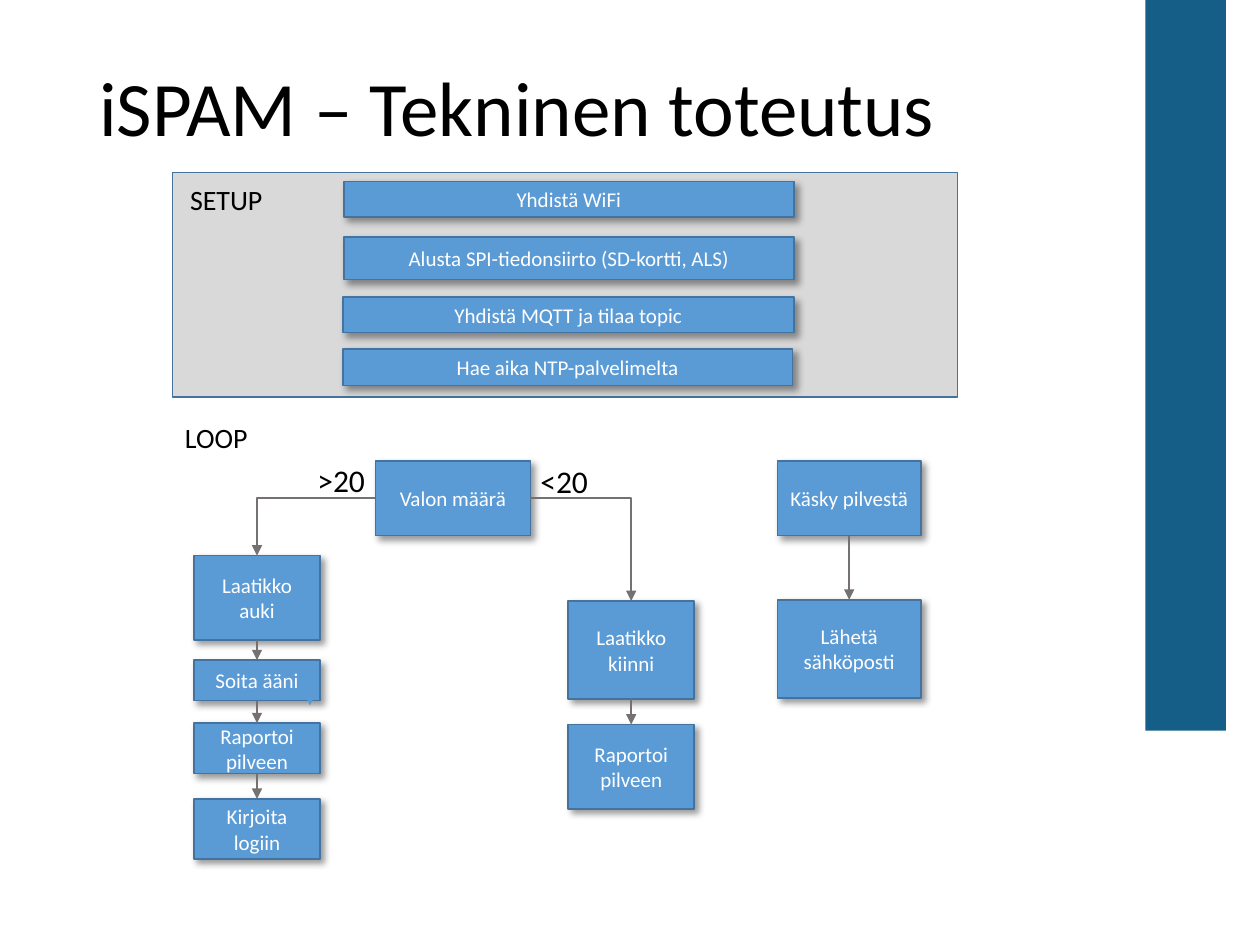
from lxml import etree
from pptx import Presentation
from pptx.dml.color import RGBColor
from pptx.enum.shapes import MSO_CONNECTOR, MSO_SHAPE
from pptx.enum.text import MSO_ANCHOR, PP_ALIGN
from pptx.oxml.ns import qn
from pptx.util import Inches, Pt

RECTANGLE, PROCESS = MSO_SHAPE.RECTANGLE, MSO_SHAPE.FLOWCHART_PROCESS
STRAIGHT, ELBOW = MSO_CONNECTOR.STRAIGHT, MSO_CONNECTOR.ELBOW
MIDDLE, CENTER = MSO_ANCHOR.MIDDLE, PP_ALIGN.CENTER
TOP, LEFT, BOTTOM, RIGHT = range(4)

FONT = "Calibri"
BLUE, OUTLINE, ARROW = "5B9BD5", "43739E", "767171"

SETUP_STEPS = [
    ("Yhdistä WiFi", 2.73, 1.44, 3.57, 0.28, RECTANGLE),
    ("Alusta SPI-tiedonsiirto (SD-kortti, ALS)", 2.73, 1.88, 3.57, 0.34, RECTANGLE),
    ("Yhdistä MQTT ja tilaa topic", 2.72, 2.36, 3.58, 0.28, PROCESS),
    ("Hae aika NTP-palvelimelta", 2.72, 2.77, 3.57, 0.29, RECTANGLE),
]
LIGHT = ("Valon määrä", 2.98, 3.66, 1.23, 0.59)
COLUMNS = {
    "open": (1.54, 1, [("Laatikko auki", 4.41, 0.67), ("Soita ääni", 5.24, 0.32),
                       ("Raportoi pilveen", 5.74, 0.4), ("Kirjoita logiin", 6.34, 0.48)]),
    "closed": (4.51, 1, [("Laatikko kiinni", 4.77, 0.78), ("Raportoi pilveen", 5.75, 0.67)]),
    "command": (6.17, 1.14, [("Käsky pilvestä", 3.66, 0.59), ("Lähetä sähköposti", 4.76, 0.78)]),
}
BRANCHES = [(LEFT, "open"), (RIGHT, "closed")]
LABELS = [
    ("<20", 4.19, 3.62, 0.59, 0.4, 18),
    (">20", 2.42, 3.61, 0.71, 0.4, 18),
    ("SETUP", 1.41, 1.4, 1.05, 0.37, 16),
    ("LOOP", 1.37, 3.29, 3, 0.37, 16),
]


def color(value):
    return RGBColor.from_string(value)


def write(shape, text, size, font_color):
    shape.text_frame.word_wrap = True
    paragraph = shape.text_frame.paragraphs[0]
    paragraph.text = text
    paragraph.font.name = FONT
    paragraph.font.size = Pt(size)
    paragraph.font.color.rgb = color(font_color)
    return paragraph


def add_box(left, top, width, height, fill, line=None, kind=RECTANGLE):
    shape = slide.shapes.add_shape(kind, Inches(left), Inches(top), Inches(width), Inches(height))
    shape.fill.solid()
    shape.fill.fore_color.rgb = color(fill)
    if line:
        shape.line.color.rgb = color(line)
        shape.line.width = Pt(1)
    else:
        shape.line.fill.background()
    shape.shadow.inherit = False
    return shape


def add_step(text, left, top, width, height, kind=PROCESS):
    shape = add_box(left, top, width, height, BLUE, OUTLINE, kind)
    effects = shape._element.spPr.find(qn("a:effectLst"))
    shadow = etree.SubElement(effects, qn("a:outerShdw"), blurRad=str(Pt(4)), dist=str(Pt(3)),
                              dir=str(45 * 60000), algn="tl", rotWithShape="0")
    black = etree.SubElement(shadow, qn("a:srgbClr"), val="000000")
    etree.SubElement(black, qn("a:alpha"), val="40000")
    shape.text_frame.vertical_anchor = MIDDLE
    write(shape, text, 12, "FFFFFF").alignment = CENTER
    return shape


def add_label(text, left, top, width, height, size):
    box = slide.shapes.add_textbox(Inches(left), Inches(top), Inches(width), Inches(height))
    return box, write(box, text, size, "000000")


def add_arrow(kind, start=(0, 0), end=(0, 0), line=ARROW, width=1):
    connector = slide.shapes.add_connector(kind, *map(Inches, start + end))
    connector.line.color.rgb = color(line)
    connector.line.width = Pt(width)
    etree.SubElement(connector.line._get_or_add_ln(), qn("a:tailEnd"), type="triangle")
    etree.SubElement(connector._element.spPr, qn("a:effectLst"))
    return connector


def join(first, first_side, second, kind=STRAIGHT):
    connector = add_arrow(kind)
    connector.begin_connect(first, first_side)
    connector.end_connect(second, TOP)
    return connector


presentation = Presentation()
presentation.slide_width, presentation.slide_height = Inches(10), Inches(7.5)
slide = presentation.slides.add_slide(presentation.slide_layouts[6])

add_box(9.09, 0, 0.64, 5.8, "145E87")
title, title_paragraph = add_label("iSPAM – Tekninen toteutus", 0.69, 0.4, 8.27, 0.97, 44)
title.text_frame.vertical_anchor = MIDDLE
title_paragraph.line_spacing = 0.9

add_box(1.37, 1.37, 6.23, 1.78, "D9D9D9", OUTLINE)
for step in SETUP_STEPS:
    add_step(*step)

light = add_step(*LIGHT)
columns = {
    name: [add_step(text, left, top, width, height) for text, top, height in steps]
    for name, (left, width, steps) in COLUMNS.items()
}
for label in LABELS:
    add_label(*label)

add_arrow(STRAIGHT, (2.46, 5.38), (2.46, 5.6), BLUE, 0.5)
for side, name in BRANCHES:
    branch = join(light, side, columns[name][0], ELBOW)
    branch._element.spPr.find(qn("a:prstGeom")).set("prst", "bentConnector2")
for steps in columns.values():
    for upper, lower in zip(steps, steps[1:]):
        join(upper, BOTTOM, lower)

presentation.save("out.pptx")
